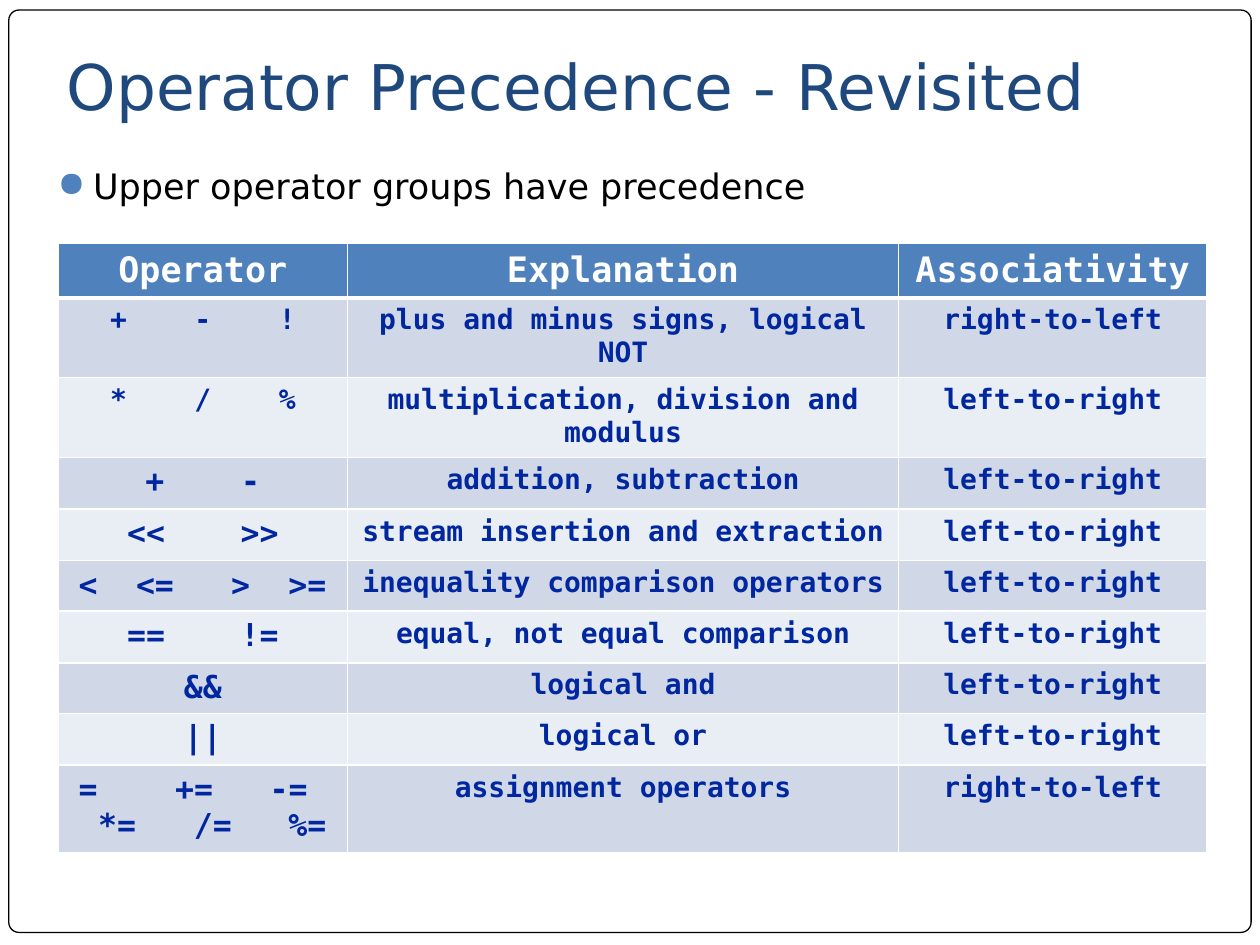
from pptx import Presentation
from pptx import util as u
from pptx.dml.color import RGBColor
from pptx.enum import shapes, text
from pptx.oxml.ns import qn
from lxml import etree

SANS, MONO = "DejaVu Sans", "DejaVu Sans Mono"
WHITE, BLUE, NAVY, INK = "FFFFFF", "4F81BD", "1F497D", "00279F"
BANDS = ("D0D8E8", "E9EDF4")
WIDE, HIGH = 10, 7.5
LEFT, RIGHT = "left-to-right", "right-to-left"

COLS = (2.3, 4.37, 2.45)
HEADS = ("Operator", "Explanation", "Associativity")
# Each row: operator lines with their tab stops, size, explanation, order, height
ROWS = (
    ([("+ - !", (0.38, 1.05, 1.72))], 16, "plus and minus signs, logical NOT", RIGHT, 0.61),
    ([("* / %", (0.38, 1.05, 1.72))], 16, "multiplication, division and modulus", LEFT, 0.61),
    ([("+ -", (0.67, 1.43))], 18, "addition, subtraction", LEFT, 0.41),
    ([("<< >>", (0.6, 1.5))], 18, "stream insertion and extraction", LEFT, 0.41),
    ([("< <= > >=", (0.14, 0.67, 1.35, 1.88))], 18, "inequality comparison operators", LEFT, 0.4),
    ([("== !=", (0.6, 1.5))], 18, "equal, not equal comparison", LEFT, 0.41),
    ([("&&", ())], 18, "logical and", LEFT, 0.4),
    ([("||", ())], 18, "logical or", LEFT, 0.41),
    ([("= += -=", (0.14, 0.98, 1.73)), ("*= /= %=", (0.37, 1.13, 1.88))],
     18, "assignment operators", RIGHT, 0.7),
)


def tint(code):
    return RGBColor.from_string(code)


def add(parent, tag, **attrs):
    return etree.SubElement(parent, qn(tag), **attrs)


def write(para, words, size=16, font=MONO, color=INK, bold=False,
          stops=(), bullet=None, align=text.PP_ALIGN.LEFT):
    props = para._p.get_or_add_pPr()
    if bullet:
        props.set("marL", str(u.Inches(0.3)))
        props.set("indent", str(u.Inches(-0.28)))
        add(add(props, "a:buClr"), "a:srgbClr", val=bullet)
        add(props, "a:buChar", char="●")
    if stops:
        tabs = add(props, "a:tabLst")
        for stop in stops:
            add(tabs, "a:tab", pos=str(u.Inches(stop)), algn="ctr")
        words = "".join("\t" + word for word in words.split())
    para.alignment = align
    run = para.add_run()
    run.text = words
    run.font.size, run.font.name, run.font.bold = u.Pt(size), font, bold
    run.font.color.rgb = tint(color)


def label(slide, box, words, anchor, foot=0.05, **form):
    frame = slide.shapes.add_textbox(*map(u.Inches, box)).text_frame
    frame.word_wrap = True
    frame.vertical_anchor = anchor
    frame.margin_bottom = u.Inches(foot)
    write(frame.paragraphs[0], words, font=SANS, **form)


def border(slide, box):
    edge = slide.shapes.add_shape(shapes.MSO_SHAPE.ROUNDED_RECTANGLE, *map(u.Inches, box))
    edge.adjustments[0] = 0.011
    edge.shadow.inherit = False
    edge.fill.solid()
    edge.fill.fore_color.rgb = tint(WHITE)
    edge.line.color.rgb = tint("000000")
    edge.line.width = u.Pt(0.75)


def paint(cell, fill, top=1, low=1):
    props = cell._tc.get_or_add_tcPr()
    for side, width in (("L", 1), ("R", 1), ("T", top), ("B", low)):
        line = add(props, "a:ln" + side, w=str(u.Pt(width)))
        add(add(line, "a:solidFill"), "a:srgbClr", val=WHITE)
    cell.fill.solid()
    cell.fill.fore_color.rgb = tint(fill)


def ranks(slide, left, top):
    highs = [0.43] + [row[-1] for row in ROWS]
    box = (left, top, sum(COLS), sum(highs))
    grid = slide.shapes.add_table(len(highs), len(COLS), *map(u.Inches, box)).table
    for col, width in zip(grid.columns, COLS):
        col.width = u.Inches(width)
    for row, high in zip(grid.rows, highs):
        row.height = u.Inches(high)
    mid = text.PP_ALIGN.CENTER

    # Heading row
    for cell, head in zip(grid.rows[0].cells, HEADS):
        paint(cell, BLUE, low=3)
        write(cell.text_frame.paragraphs[0], head, size=20, color=WHITE, bold=True, align=mid)

    # Operator groups
    for i, (lines, size, note, order, _) in enumerate(ROWS):
        cells = list(grid.rows[i + 1].cells)
        for cell in cells:
            paint(cell, BANDS[i % 2], top=1 if i else 3)
        frame = cells[0].text_frame
        for j, (signs, stops) in enumerate(lines):
            para = frame.add_paragraph() if j else frame.paragraphs[0]
            write(para, signs, size=size, bold=True, stops=stops,
                  align=text.PP_ALIGN.LEFT if stops else mid)
        for cell, words in zip(cells[1:], (note, order)):
            write(cell.text_frame.paragraphs[0], words, bold=True, align=mid)


def main():
    deck = Presentation()
    deck.slide_width, deck.slide_height = u.Inches(WIDE), u.Inches(HIGH)
    slide = deck.slides.add_slide(deck.slide_layouts[6])
    border(slide, (0.07, 0.08, WIDE - 0.14, HIGH - 0.18))
    label(slide, (0.43, 0.18, 8.5, 0.9), "Operator Precedence - Revisited",
          text.MSO_ANCHOR.BOTTOM, foot=0.1, size=36, color=NAVY)
    label(slide, (0.34, 1.26, 9.37, 0.5), "Upper operator groups have precedence",
          text.MSO_ANCHOR.TOP, size=20, color="000000", bullet=BLUE)
    ranks(slide, 0.46, 1.93)
    deck.save("out.pptx")


if __name__ == "__main__":
    main()
